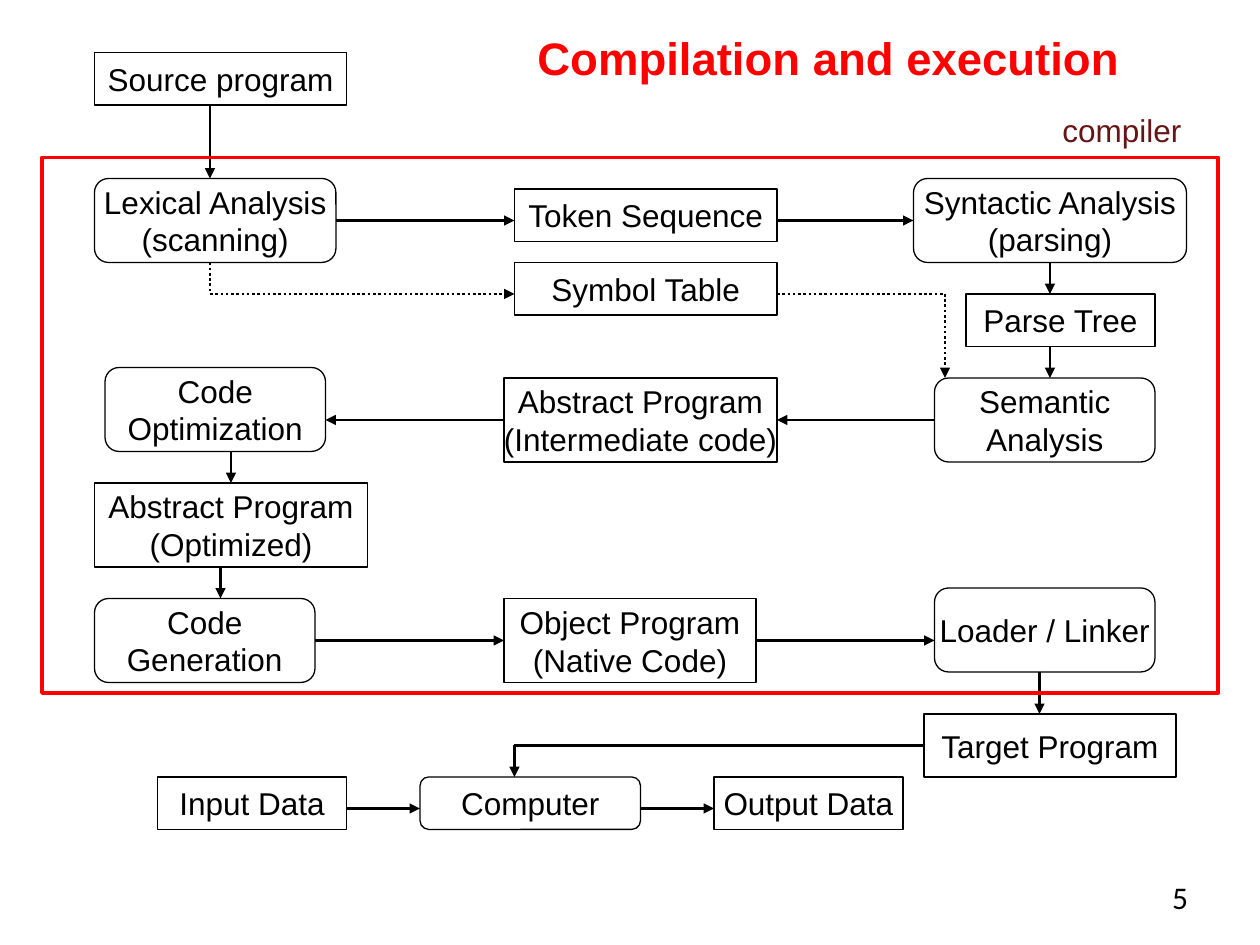
from itertools import pairwise

from lxml import etree
from pptx import Presentation
from pptx import util as u
from pptx.dml.color import RGBColor
from pptx.enum import dml, shapes, text
from pptx.oxml.ns import qn

BLACK = RGBColor(0x00, 0x00, 0x00)
RED = RGBColor(0xFF, 0x00, 0x00)
MAROON = RGBColor(0x66, 0x14, 0x14)

CELL = u.Inches(10) // 120  # the grid has 120 columns and 90 rows

# Each entry: text, column, row, columns wide, rows high
DATA_BOXES = [
    ("Source program", 9, 5, 24, 5),
    ("Token Sequence", 49, 18, 25, 5),
    ("Symbol Table", 49, 25, 25, 5),
    ("Parse Tree", 92, 28, 18, 5),
    ("Abstract Program\n(Intermediate code)", 48, 36, 26, 8),
    ("Abstract Program\n(Optimized)", 9, 46, 26, 8),
    ("Object Program\n(Native Code)", 48, 57, 24, 8),
    ("Target Program", 88, 68, 24, 6),
    ("Input Data", 15, 74, 18, 5),
    ("Output Data", 68, 74, 18, 5),
]
STEP_BOXES = [
    ("Lexical Analysis\n(scanning)", 9, 17, 23, 8),
    ("Syntactic Analysis\n(parsing)", 87, 17, 26, 8),
    ("Semantic\nAnalysis", 89, 36, 21, 8),
    ("Code\nOptimization", 10, 35, 21, 8),
    ("Code\nGeneration", 9, 57, 21, 8),
    ("Loader / Linker", 89, 56, 21, 8),
    ("Computer", 40, 74, 21, 5),
]
# Each route is a list of (column, row) points and ends in an arrowhead
SOLID_ROUTES = [
    [(20, 10), (20, 17)],
    [(32, 21), (49, 21)],
    [(74, 21), (87, 21)],
    [(100, 25), (100, 28)],
    [(100, 33), (100, 36)],
    [(89, 40), (74, 40)],
    [(48, 40), (31, 40)],
    [(22, 43), (22, 46)],
    [(21, 54), (21, 57)],
    [(30, 61), (48, 61)],
    [(72, 61), (89, 61)],
    [(99, 64), (99, 68)],
    [(88, 71), (49, 71), (49, 74)],
    [(33, 77), (40, 77)],
    [(61, 77), (68, 77)],
]
DOTTED_ROUTES = [
    [(20, 25), (20, 28), (49, 28)],
    [(74, 28), (90, 28), (90, 36)],
]


def grid(*cells):
    return [u.Emu(round(cell * CELL)) for cell in cells]


def write(shape, content, size=18, color=BLACK, font="Arial", bold=False,
          align=text.PP_ALIGN.LEFT, anchor=text.MSO_ANCHOR.TOP, wrap=True):
    frame = shape.text_frame
    frame.word_wrap = wrap
    frame.vertical_anchor = anchor
    paragraph = frame.paragraphs[0]
    paragraph.text = content
    paragraph.alignment = align
    paragraph.font.name = font
    paragraph.font.size = u.Pt(size)
    paragraph.font.bold = bold
    paragraph.font.color.rgb = color
    return paragraph


def add_label(slide, content, place, **style):
    return write(slide.shapes.add_textbox(*grid(*place)), content, **style)


def add_outline(slide, kind, place, color=BLACK, width=0.75):
    shape = slide.shapes.add_shape(kind, *grid(*place))
    shape.shadow.inherit = False
    shape.fill.background()
    shape.line.color.rgb = color
    shape.line.width = u.Pt(width)
    return shape


def add_box(slide, kind, content, *place):
    write(add_outline(slide, kind, place), content, align=text.PP_ALIGN.CENTER,
          anchor=text.MSO_ANCHOR.MIDDLE, wrap=False)


def add_route(slide, points, dash=None):
    """Join the points with straight lines, the last one an arrow."""
    for start, end in pairwise(points):
        connector = slide.shapes.add_connector(
            shapes.MSO_CONNECTOR.STRAIGHT, *grid(*start, *end))
        connector.line.color.rgb = BLACK
        connector.line.width = u.Pt(1.5)
        if dash:
            connector.line.dash_style = dash
        properties = connector.element.spPr
        etree.SubElement(properties, qn("a:effectLst"))
    etree.SubElement(properties.find(qn("a:ln")), qn("a:tailEnd"), type="triangle")


def main():
    presentation = Presentation()
    presentation.slide_width, presentation.slide_height = grid(120, 90)
    slide = presentation.slides.add_slide(presentation.slide_layouts[6])

    title = add_label(slide, "Compilation and execution", (50, 2, 64, 7), size=26,
                      color=RED, bold=True, anchor=text.MSO_ANCHOR.MIDDLE)
    title.space_before = u.Pt(9)
    add_label(slide, "compiler", (100, 10, 13.8, 4.8), color=MAROON, wrap=False)
    add_label(slide, "5 ", (106, 83, 9, 5), font="Calibri",
              align=text.PP_ALIGN.RIGHT)

    for box in DATA_BOXES:
        add_box(slide, shapes.MSO_SHAPE.RECTANGLE, *box)
    for box in STEP_BOXES:
        add_box(slide, shapes.MSO_SHAPE.ROUNDED_RECTANGLE, *box)
    for route in SOLID_ROUTES:
        add_route(slide, route)
    for route in DOTTED_ROUTES:
        add_route(slide, route, dml.MSO_LINE.ROUND_DOT)
    add_outline(slide, shapes.MSO_SHAPE.RECTANGLE, (4, 15, 112, 51), RED, 2.25)

    presentation.save("out.pptx")


if __name__ == "__main__":
    main()
